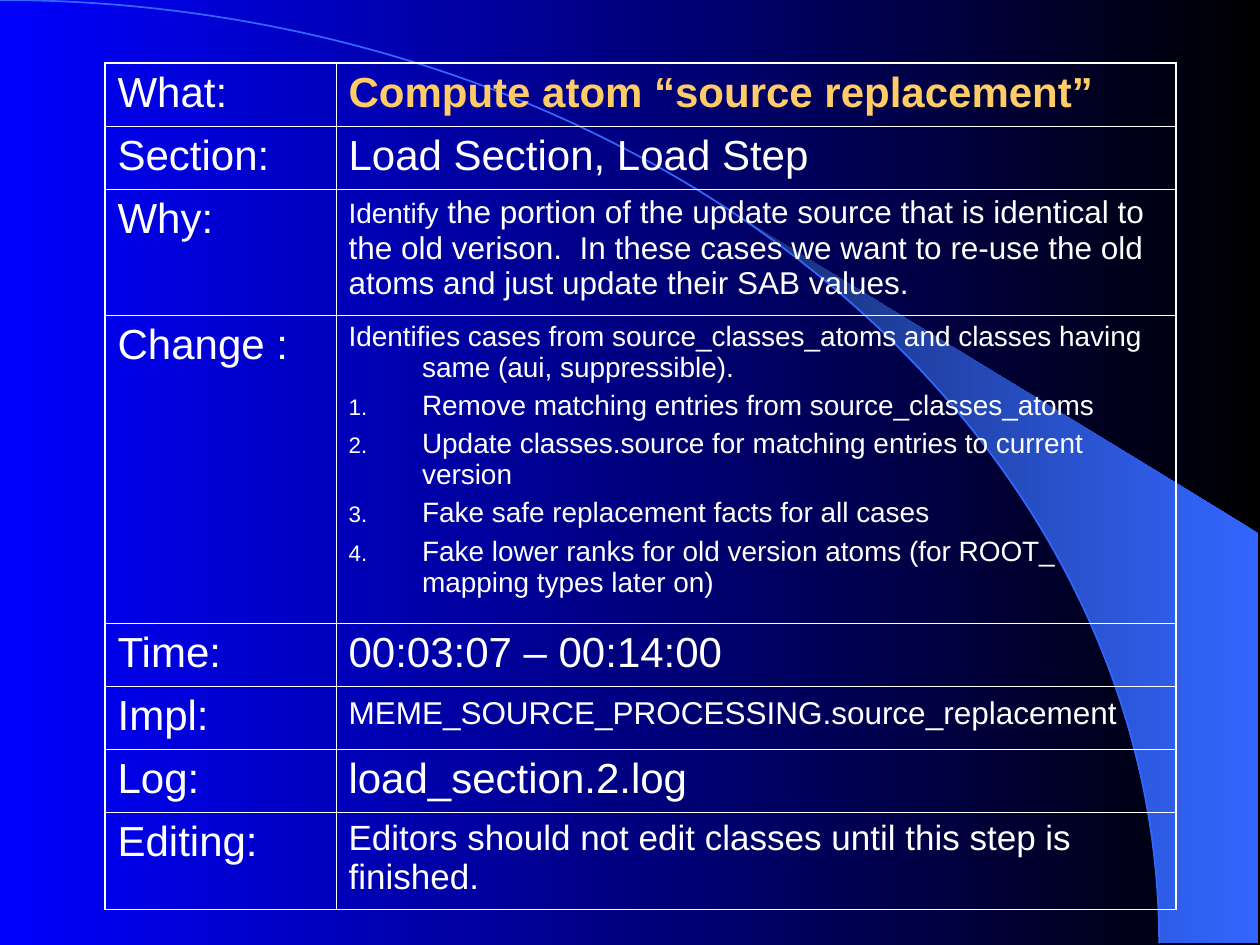
"""Build the slide that describes the source replacement step."""
from dataclasses import dataclass
from math import acos, cos, sin

from lxml.etree import SubElement
from pptx import Presentation
from pptx.dml.color import RGBColor as Color
from pptx.enum.shapes import MSO_SHAPE as Shape
from pptx.oxml.ns import qn
from pptx.util import Pt


@dataclass(frozen=True)
class Theme:
    font: str = "Arial"
    text: str = "FFFFFF"
    accent: str = "FFCC66"
    night: str = "000000"
    blue: str = "0000FF"
    beam: str = "3366FF"
    beam_dark: str = "172F75"
    large: int = 24
    medium: int = 20
    normal: int = 18
    small: int = 16
    thick: float = 1.08
    thin: float = 0.45


THEME = Theme()
WIDTH, HEIGHT = 720, 540
ARC_WIDTH, ARC_HEIGHT = 662.4, 539
TABLE_LEFT, TABLE_TOP = 60, 36
COLUMNS = (132, 480)
HANG = 42

ROWS = [
    (36, "What:", [[("Compute atom “source replacement”", THEME.large)]]),
    (36, "Section:", [[("Load Section, Load Step", THEME.large)]]),
    (72, "Why:", [[
        ("Identify", THEME.small),
        (" the portion of the update source that is identical to the old verison.  "
         "In these cases we want to re-use the old atoms and just update their SAB values.",
         THEME.normal),
    ]]),
    (176.4, "Change :", [[(line, THEME.small)] for line in (
        "Identifies cases from source_classes_atoms and classes having same (aui, suppressible).",
        "Remove matching entries from source_classes_atoms",
        "Update classes.source for matching entries to current version",
        "Fake safe replacement facts for all cases",
        "Fake lower ranks for old version atoms (for ROOT_ mapping types later on)",
    )]),
    (36, "Time:", [[("00:03:07 – 00:14:00", THEME.large)]]),
    (36, "Impl:", [[("MEME_SOURCE_PROCESSING.source_replacement", THEME.normal),
                    (" ", THEME.medium)]]),
    (36, "Log:", [[("load_section.2.log", THEME.large)]]),
    (55.4, "Editing:", [[("Editors should not edit classes until this step is finished.",
                          THEME.medium)]]),
]


def paint_gradient(fill, start, end):
    fill.gradient()
    fill.gradient_angle = 180
    for stop, color, position in zip(fill.gradient_stops, (start, end), (0, 1)):
        stop.color.rgb = Color.from_string(color)
        stop.position = position


def add_beam(page):
    right, corner, tangent, steps = 719, 304.6, 424, 24
    sweep = acos(tangent / ARC_WIDTH)
    angles = [sweep * (1 - step / steps) for step in range(steps + 1)]
    curve = [(ARC_WIDTH * cos(angle), ARC_HEIGHT * (1 - sin(angle))) for angle in angles]
    points = [(Pt(x), Pt(y)) for x, y in curve + [(right, ARC_HEIGHT), (right, corner)]]
    builder = page.shapes.build_freeform(*points[0])
    builder.add_line_segments(points[1:], close=True)
    beam = builder.convert_to_shape()
    beam.shadow.inherit = False
    paint_gradient(beam.fill, THEME.beam, THEME.beam_dark)
    beam.line.fill.background()


def add_arc(page):
    arc = page.shapes.add_shape(
        Shape.ARC, Pt(-ARC_WIDTH), Pt(0), Pt(2 * ARC_WIDTH), Pt(2 * ARC_HEIGHT))
    arc.shadow.inherit = False
    arc.fill.background()
    arc.line.color.rgb = Color.from_string(THEME.beam)
    arc.line.width = Pt(1)


def add_borders(cell, outer):
    properties = cell._tc.get_or_add_tcPr()
    for side in "LRTB":
        width = THEME.thick if side in outer else THEME.thin
        line = SubElement(properties, qn(f"a:ln{side}"), w=str(Pt(width)))
        SubElement(SubElement(line, qn("a:solidFill")), qn("a:srgbClr"), val=THEME.text)


def add_number(para):
    properties = para._p.get_or_add_pPr()
    SubElement(SubElement(properties, qn("a:buClr")), qn("a:srgbClr"), val=THEME.text)
    SubElement(properties, qn("a:buSzPct"), val="80000")
    SubElement(properties, qn("a:buAutoNum"), type="arabicPeriod")


def hang_indent(para):
    properties = para._p.get_or_add_pPr()
    properties.set("marL", str(Pt(HANG)))
    properties.set("indent", str(Pt(-HANG)))


def add_span(para, text, size, color, bold):
    span = para.add_run()
    span.text = text
    span.font.name = THEME.font
    span.font.size = Pt(size)
    span.font.bold = bold
    span.font.color.rgb = Color.from_string(color)


def fill_cell(cell, paragraphs, outer, color=THEME.text, bold=False):
    add_borders(cell, outer)
    cell.fill.background()
    frame = cell.text_frame
    for index, spans in enumerate(paragraphs):
        para = frame.add_paragraph() if index else frame.paragraphs[0]
        para.space_before = Pt(spans[-1][1] / 4)
        if len(paragraphs) > 1:
            hang_indent(para)
        if index:
            add_number(para)
        for text, size in spans:
            add_span(para, text, size, color, bold)


def add_step_table(page):
    heights = [height for height, _, _ in ROWS]
    frame = page.shapes.add_table(
        len(ROWS), len(COLUMNS), Pt(TABLE_LEFT), Pt(TABLE_TOP),
        Pt(sum(COLUMNS)), Pt(sum(heights)))
    table = frame.table
    table.first_row = table.horz_banding = False
    for column, width in zip(table.columns, COLUMNS):
        column.width = Pt(width)
    for index, (height, label, paragraphs) in enumerate(ROWS):
        table.rows[index].height = Pt(height)
        edge = {0: "T", len(ROWS) - 1: "B"}.get(index, "")
        heading = index == 0
        fill_cell(table.cell(index, 0), [[(label, THEME.large)]], "L" + edge)
        fill_cell(table.cell(index, 1), paragraphs, "R" + edge,
                  THEME.accent if heading else THEME.text, heading)


def main():
    deck = Presentation()
    deck.slide_width, deck.slide_height = Pt(WIDTH), Pt(HEIGHT)
    page = deck.slides.add_slide(deck.slide_layouts[6])
    paint_gradient(page.background.fill, THEME.night, THEME.blue)
    add_beam(page)
    add_arc(page)
    add_step_table(page)
    deck.save("out.pptx")


if __name__ == "__main__":
    main()
